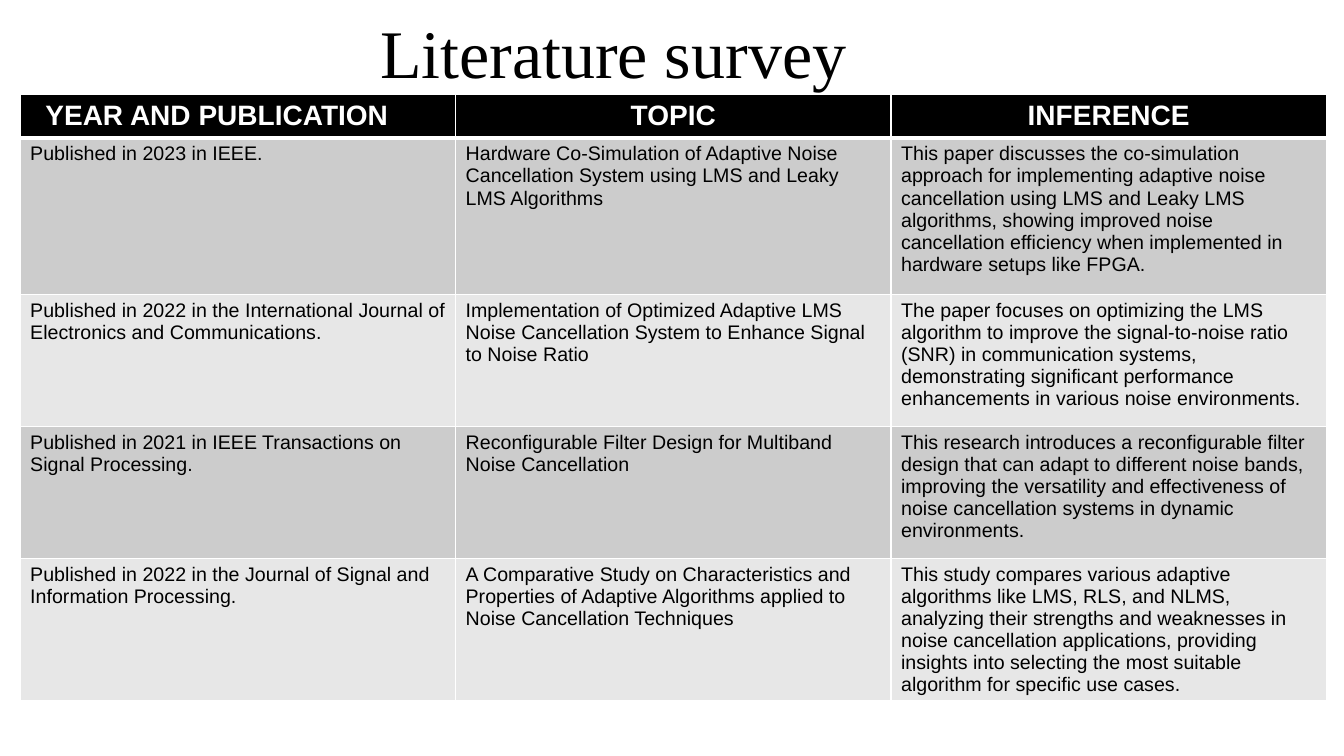
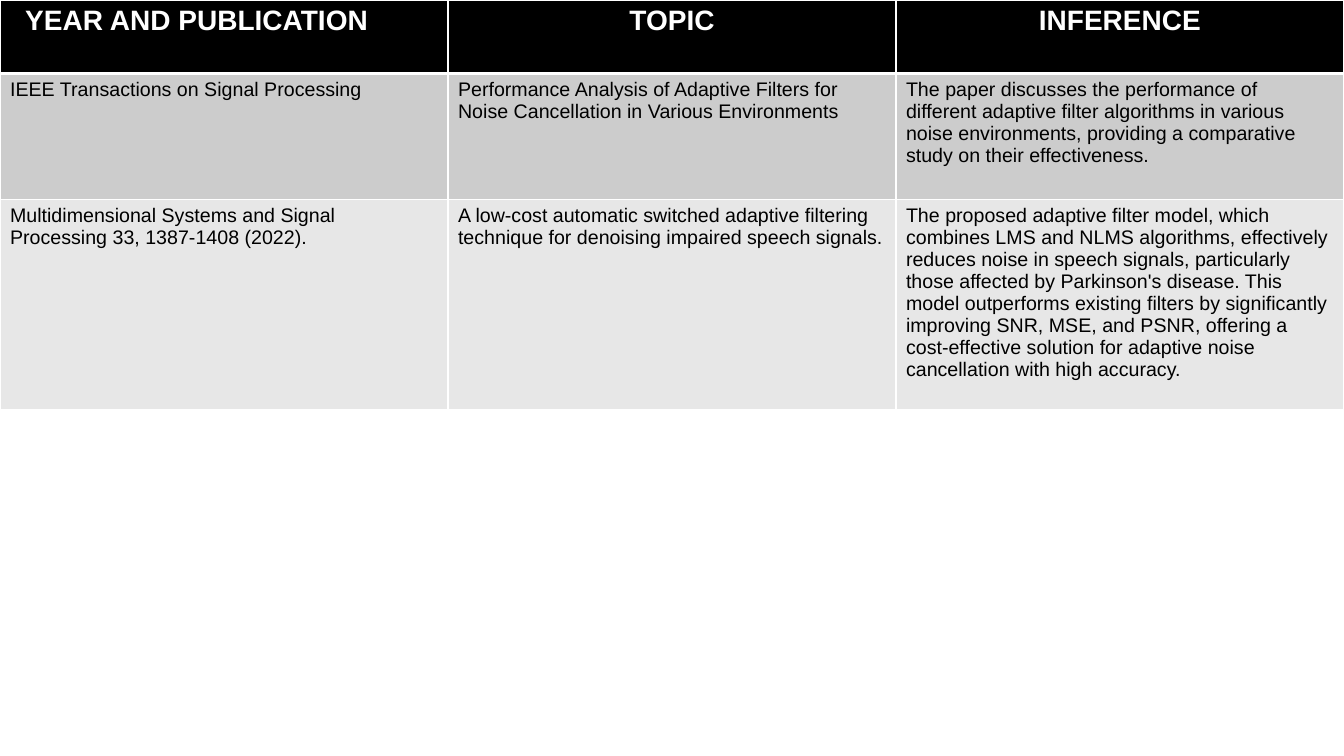
from lxml.etree import SubElement
from pptx import Presentation
from pptx.dml.color import RGBColor
from pptx.enum.text import MSO_ANCHOR, MSO_AUTO_SIZE, PP_ALIGN
from pptx.oxml.ns import qn
from pptx.util import Inches, Pt

BLACK, WHITE = "000000", "FFFFFF"
BANDS = ("CCCCCC", "E7E7E7")
HEADS = ("YEAR AND PUBLICATION", "TOPIC", "INFERENCE")
CELL = 0.1
COLS, ROWS = 133.33, 75

FIRST = (
    (15.5, "Published in 2023 in IEEE.",
     "Hardware Co-Simulation of Adaptive Noise Cancellation System using LMS "
     "and Leaky LMS Algorithms",
     "This paper discusses the co-simulation approach for implementing adaptive "
     "noise cancellation using LMS and Leaky LMS algorithms, showing improved "
     "noise cancellation efficiency when implemented in hardware setups like FPGA."),
    (13.1, "Published in 2022 in the International Journal of Electronics and "
     "Communications.",
     "Implementation of Optimized Adaptive LMS Noise Cancellation System to "
     "Enhance Signal to Noise Ratio",
     "The paper focuses on optimizing the LMS algorithm to improve the "
     "signal-to-noise ratio (SNR) in communication systems, demonstrating "
     "significant performance enhancements in various noise environments."),
    (13.1, "Published in 2021 in IEEE Transactions on Signal Processing.",
     "Reconfigurable Filter Design for Multiband Noise Cancellation",
     "This research introduces a reconfigurable filter design that can adapt to "
     "different noise bands, improving the versatility and effectiveness of noise "
     "cancellation systems in dynamic environments."),
    (14, "Published in 2022 in the Journal of Signal and Information Processing.",
     "A Comparative Study on Characteristics and Properties of Adaptive "
     "Algorithms applied to Noise Cancellation Techniques",
     "This study compares various adaptive algorithms like LMS, RLS, and NLMS, "
     "analyzing their strengths and weaknesses in noise cancellation "
     "applications, providing insights into selecting the most suitable "
     "algorithm for specific use cases."),
)
SECOND = (
    (12.5, "IEEE Transactions on Signal Processing",
     "Performance Analysis of Adaptive Filters for Noise Cancellation in Various "
     "Environments",
     "The paper discusses the performance of different adaptive filter "
     "algorithms in various noise environments, providing a comparative study "
     "on their effectiveness."),
    (20.8, "Multidimensional Systems and Signal Processing 33, 1387-1408 (2022).",
     "A low-cost automatic switched adaptive filtering technique for denoising "
     "impaired speech signals.",
     "The proposed adaptive filter model, which combines LMS and NLMS "
     "algorithms, effectively reduces noise in speech signals, particularly "
     "those affected by Parkinson's disease. This model outperforms existing "
     "filters by significantly improving SNR, MSE, and PSNR, offering a "
     "cost-effective solution for adaptive noise cancellation with high accuracy."),
)


def ink(code):
    return RGBColor.from_string(code)


def span(count):
    return Inches(count * CELL)


def write(frame, text, size=14, face="Arial", color=BLACK, bold=False,
          align=PP_ALIGN.LEFT, lead=1.0):
    frame.word_wrap = True
    line = frame.paragraphs[0]
    line.alignment, line.line_spacing = align, lead
    run = line.add_run()
    run.text = text
    font = run.font
    font.size, font.name, font.bold = Pt(size), face, bold
    font.color.rgb = ink(color)


def edge(cell, base):
    props = cell._tc.get_or_add_tcPr()
    for side, width in (("L", 1), ("R", 1), ("T", 1), ("B", base)):
        line = SubElement(props, qn(f"a:ln{side}"), w=str(Pt(width)))
        fill = SubElement(line, qn("a:solidFill"))
        SubElement(fill, qn("a:srgbClr"), val=WHITE)


class Deck:
    def __init__(self):
        self.file = Presentation()
        self.file.slide_width = span(COLS)
        self.file.slide_height = span(ROWS)
        self.slide = None

    def page(self, titled=False):
        layout = self.file.slide_layouts[5 if titled else 6]
        self.slide = self.file.slides.add_slide(layout)
        fill = self.slide.background.fill
        fill.solid()
        fill.fore_color.rgb = ink(WHITE)

    def title(self, text, left, top, width, height):
        box = self.slide.shapes.title
        box.left, box.top = span(left), span(top)
        box.width, box.height = span(width), span(height)
        frame = box.text_frame
        frame.auto_size = MSO_AUTO_SIZE.NONE
        frame.vertical_anchor = MSO_ANCHOR.MIDDLE
        write(frame, text, size=48.6, face="Times New Roman",
              align=PP_ALIGN.CENTER, lead=0.9)

    def cell(self, cell, text, fill, base=1, **style):
        edge(cell, base)
        cell.fill.solid()
        cell.fill.fore_color.rgb = ink(fill)
        write(cell.text_frame, text, **style)

    def table(self, left, top, width, head, items):
        highs = [head] + [item[0] for item in items]
        grid = self.slide.shapes.add_table(
            len(highs), len(HEADS), span(left), span(top),
            span(width), span(sum(highs))).table
        for row, high in zip(grid.rows, highs):
            row.height = span(high)
        for col, text in enumerate(HEADS):
            grid.columns[col].width = span(width / len(HEADS))
            align = PP_ALIGN.CENTER if col else PP_ALIGN.LEFT
            self.cell(grid.cell(0, col), text, BLACK, base=3, size=20,
                      color=WHITE, bold=True, align=align)
        grid.cell(0, 0).margin_left = span(2.5)
        for row, (_, *texts) in enumerate(items):
            for col, text in enumerate(texts):
                self.cell(grid.cell(row + 1, col), text, BANDS[row % 2])


def main():
    deck = Deck()
    deck.page(titled=True)
    deck.title("Literature survey", 8.4, 4, 104.9, 3.2)
    deck.table(2, 9.4, 129.6, 4.3, FIRST)
    deck.page()
    deck.table(0, 0, COLS, 7.3, SECOND)
    deck.file.save("out.pptx")


if __name__ == "__main__":
    main()
